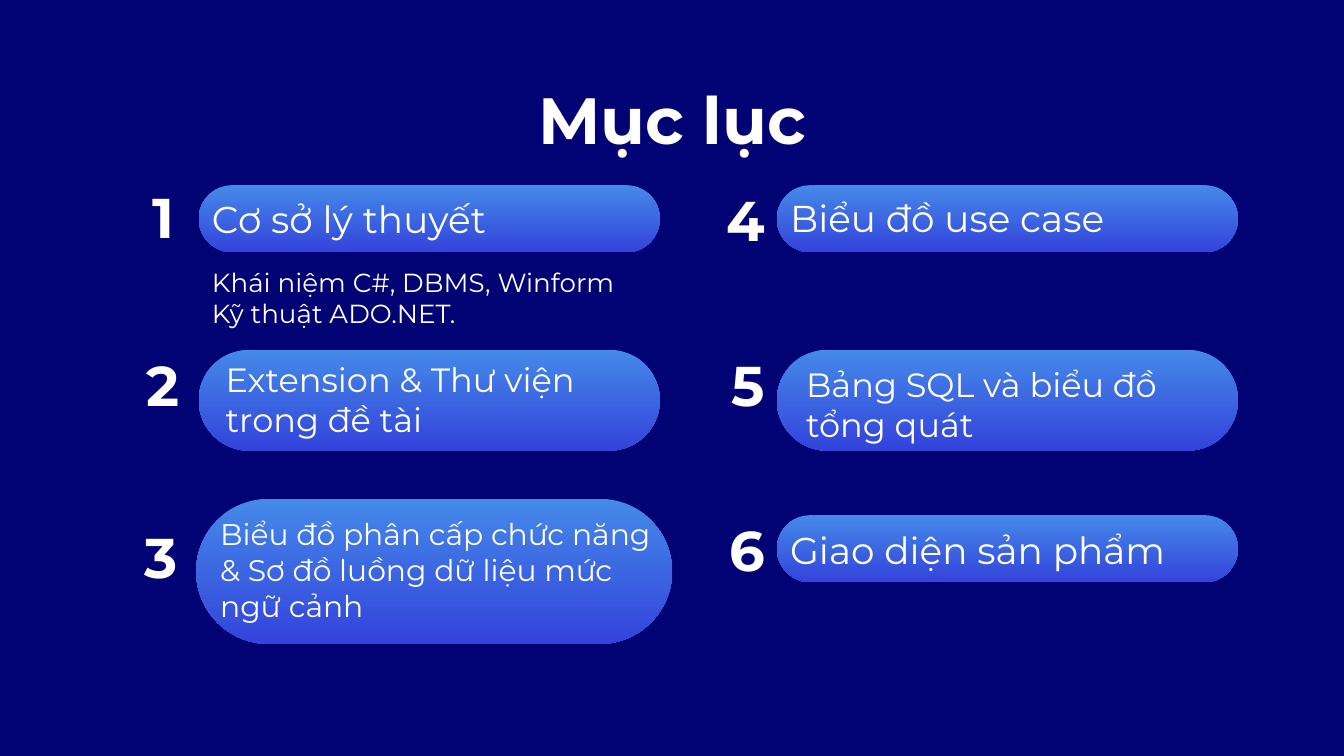
"""Build the "Mục lục" contents slide with six numbered gradient pills."""
from pptx import Presentation
from pptx.dml.color import RGBColor
from pptx.enum.shapes import MSO_SHAPE as SHAPE
from pptx.enum.text import MSO_ANCHOR as ANCHOR, PP_ALIGN as ALIGN
from pptx.util import Pt

PILL_WIDTH = 247
LABEL_HEIGHT = 29.5
LEFT, RIGHT = 106.5, 416.2
PILL_COLORS = ("4589E9", "3343DB")


def color(hex_string):
    return RGBColor.from_string(hex_string)


def add_text(text, left, top, width, height, size, align=ALIGN.LEFT, bold=False, anchor=ANCHOR.MIDDLE):
    box = slide.shapes.add_textbox(Pt(left), Pt(top), Pt(width), Pt(height))
    frame = box.text_frame
    frame.word_wrap = True
    frame.vertical_anchor = anchor
    frame.margin_left = frame.margin_right = frame.margin_top = frame.margin_bottom = Pt(7.2)
    paragraph = frame.paragraphs[0]
    paragraph.text = text
    paragraph.alignment = align
    paragraph.font.name = "Montserrat"
    paragraph.font.size = Pt(size)
    paragraph.font.bold = bold
    paragraph.font.color.rgb = color("FFFFFF")


prs = Presentation()
prs.slide_width, prs.slide_height = Pt(720), Pt(405)
slide = prs.slides.add_slide(prs.slide_layouts[6])
slide.background.fill.solid()
slide.background.fill.fore_color.rgb = color("010273")

add_text("Mục lục", 56.6, 35.4, 607, 45.4, 35, ALIGN.CENTER, True, ANCHOR.TOP)

sections = [
    ("Cơ sở lý thuyết", 20, (LEFT, 99.2, PILL_WIDTH, 36), (LEFT, 102.5), (50.4, 101)),
    ("Extension & Thư viện trong đề tài", 18, (LEFT, 187.4, PILL_WIDTH, 54), (113.8, 199), (52.6, 191)),
    ("Biểu đồ phân cấp chức năng & Sơ đồ luồng dữ liệu mức ngữ cảnh", 16,
     (105.1, 267.2, 255, 77.8), (110.9, 290.5), (51.8, 283)),
    ("Biểu đồ use case", 20, (RIGHT, 99.2, PILL_WIDTH, 36), (RIGHT, 101.8), (366.5, 102.5)),
    ("Bảng SQL và biểu đồ tổng quát", 18, (RIGHT, 187.4, PILL_WIDTH, 54), (424.8, 201.6), (366.5, 191)),
    ("Giao diện sản phẩm", 20, (RIGHT, 276, PILL_WIDTH, 36), (RIGHT, 279.4), (366.5, 279.4)),
]
for number, (heading, size, pill_area, heading_at, number_at) in enumerate(sections, 1):
    pill = slide.shapes.add_shape(SHAPE.ROUNDED_RECTANGLE, *map(Pt, pill_area))
    pill.adjustments[0] = 0.5
    pill.shadow.inherit = False
    pill.line.fill.background()
    pill.fill.gradient()
    pill.fill.gradient_angle = 270
    for stop, shade in zip(pill.fill.gradient_stops, PILL_COLORS):
        stop.color.rgb = color(shade)
    add_text(heading, *heading_at, PILL_WIDTH, LABEL_HEIGHT, size)
    add_text(str(number), *number_at, 50.4, LABEL_HEIGHT, 30, ALIGN.RIGHT, True)

add_text("Khái niệm C#, DBMS, Winform\vKỹ thuật ADO.NET.", LEFT, 144.7, PILL_WIDTH, LABEL_HEIGHT, 14)

prs.save("out.pptx")
